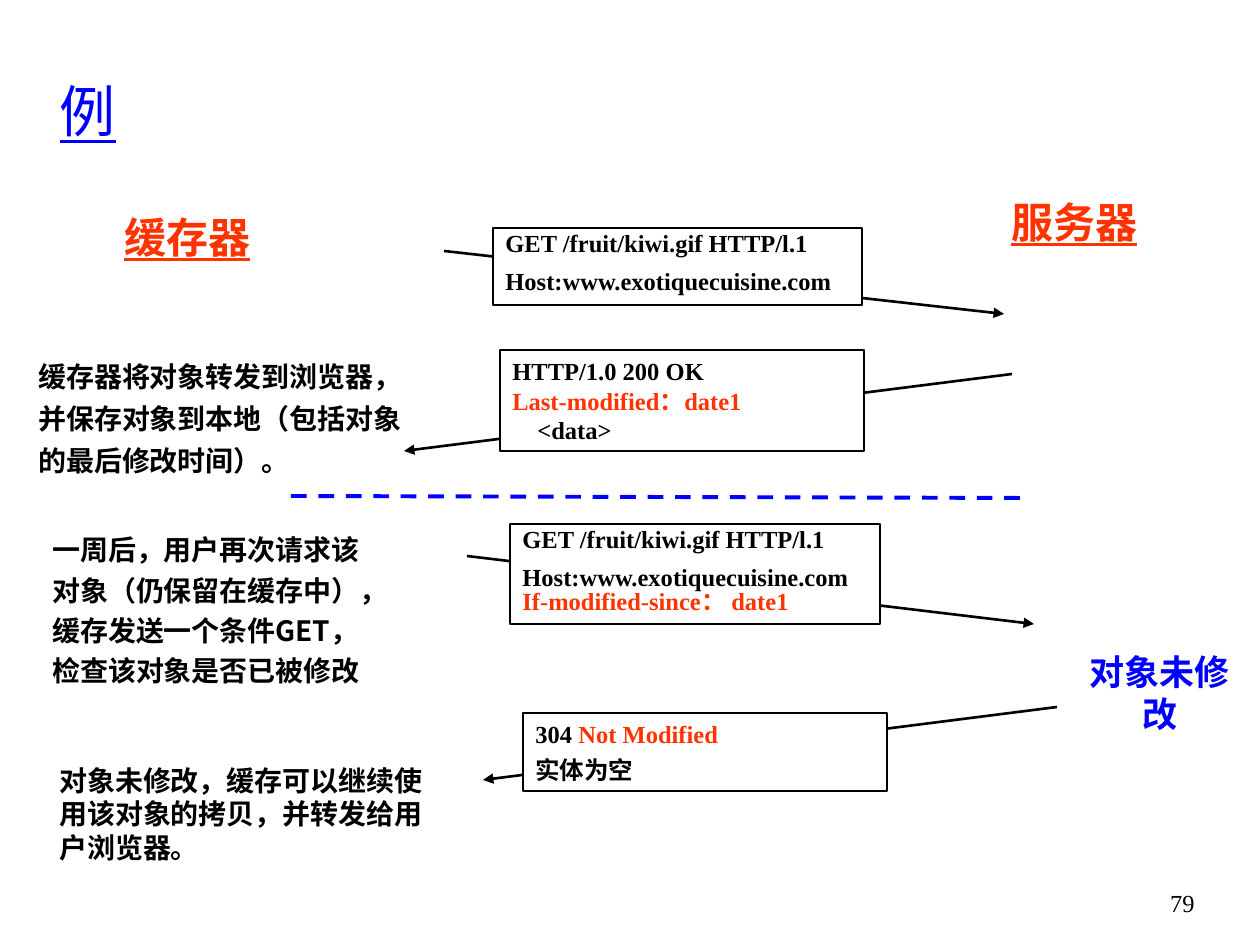
import pptx
import pptx.dml.color
import pptx.enum.dml
import pptx.enum.shapes
import pptx.enum.text
import pptx.oxml
import pptx.oxml.ns
import pptx.util

PX_PER_INCH = 126
BLACK = pptx.dml.color.RGBColor(0x00, 0x00, 0x00)
WHITE = pptx.dml.color.RGBColor(0xFF, 0xFF, 0xFF)
BLUE = pptx.dml.color.RGBColor(0x00, 0x00, 0xFF)
RED = pptx.dml.color.RGBColor(0xFF, 0x33, 0x00)
SERIF = "Times New Roman"
COMIC = "Comic Neue"
SANS = "Noto Sans CJK SC"
LEFT = pptx.enum.text.PP_ALIGN.LEFT
CENTER = pptx.enum.text.PP_ALIGN.CENTER
RIGHT = pptx.enum.text.PP_ALIGN.RIGHT
TOP = pptx.enum.text.MSO_ANCHOR.TOP
MIDDLE = pptx.enum.text.MSO_ANCHOR.MIDDLE


def px(length):
    return pptx.util.Emu(round(length * 914400 / PX_PER_INCH))


def add_span(para, text, *, size, font, color, bold, underline):
    span = para.add_run()
    span.text = text
    span.font.size = pptx.util.Pt(size)
    span.font.name = font
    span.font.color.rgb = color
    span.font.bold = bold
    span.font.underline = underline
    east_asian = pptx.oxml.parse_xml(
        f'<a:ea {pptx.oxml.ns.nsdecls("a")} typeface="{SANS}"/>')
    span.font._element.find(pptx.oxml.ns.qn("a:latin")).addnext(east_asian)


def write(frame, paragraphs, *, size=14, font=SERIF, color=BLACK, bold=True,
          underline=False, align=LEFT, anchor=TOP, wrap=True, spacing=1.0,
          gaps=(), indents=()):
    """Each paragraph is a string or a list of (text, colour) spans.

    gaps and indents map a paragraph index to points before it and px of margin.
    """
    frame.word_wrap = wrap
    frame.vertical_anchor = anchor
    frame.margin_left = frame.margin_right = pptx.util.Inches(0.1)
    frame.margin_top = frame.margin_bottom = pptx.util.Inches(0.05)
    gaps, indents = dict(gaps), dict(indents)
    for index, content in enumerate(paragraphs):
        para = frame.paragraphs[0] if index == 0 else frame.add_paragraph()
        para.alignment = align
        para.line_spacing = spacing
        para.space_before = pptx.util.Pt(gaps.get(index, 0))
        if index in indents:
            para._p.get_or_add_pPr().set("marL", str(px(indents[index])))
        spans = [(content, color)] if isinstance(content, str) else content
        for text, span_color in spans:
            add_span(para, text, size=size, font=font, color=span_color,
                     bold=bold, underline=underline)


class SlideBuilder:
    """Holds the current slide and draws its kinds of element."""

    def __init__(self, deck):
        self.slide = deck.slides.add_slide(deck.slide_layouts[5])
        self.shapes = self.slide.shapes

    def title(self, text, left, top, width, height):
        box = self.shapes.title
        box.left, box.top, box.width, box.height = map(px, (left, top, width, height))
        write(box.text_frame, [text], size=32, color=BLUE, bold=False,
              underline=True, anchor=MIDDLE)

    def label(self, text, left, top, width, height, **style):
        box = self.shapes.add_textbox(*map(px, (left, top, width, height)))
        write(box.text_frame, [text], **style)

    def message(self, paragraphs, left, top, width, height, **style):
        box = self.shapes.add_shape(pptx.enum.shapes.MSO_SHAPE.RECTANGLE,
                                    *map(px, (left, top, width, height)))
        box.shadow.inherit = False
        box.fill.solid()
        box.fill.fore_color.rgb = WHITE
        box.line.color.rgb = BLACK
        box.line.width = pptx.util.Pt(0.75)
        write(box.text_frame, paragraphs, **style)

    def line(self, start_x, start_y, end_x, end_y, color=BLACK, width=1.5):
        line = self.shapes.add_connector(
            pptx.enum.shapes.MSO_CONNECTOR.STRAIGHT,
            *map(px, (start_x, start_y, end_x, end_y)))
        line.line.color.rgb = color
        line.line.width = pptx.util.Pt(width)
        line._element.spPr.append(pptx.oxml.parse_xml(
            f'<a:effectLst {pptx.oxml.ns.nsdecls("a")}/>'))
        return line

    def arrow(self, *ends):
        self.line(*ends).line._get_or_add_ln().append(pptx.oxml.parse_xml(
            f'<a:tailEnd {pptx.oxml.ns.nsdecls("a")} type="triangle"/>'))

    def divider(self, *ends):
        line = self.line(*ends, color=BLUE, width=2.25)
        line.line.dash_style = pptx.enum.dml.MSO_LINE.DASH


def main():
    deck = pptx.Presentation()
    deck.slide_width, deck.slide_height = px(1260), px(945)
    page = SlideBuilder(deck)
    page.title("例", 47, 32, 1097, 157)

    for ends in ((444, 251, 1004, 314), (1012, 374, 404, 451),
                 (467, 556, 1034, 624), (1057, 707, 483, 780)):
        page.arrow(*ends)
    page.divider(291, 496, 1031, 498)

    heading = dict(size=24, font=COMIC, color=RED, underline=True, align=CENTER)
    page.label("缓存器", 112, 205, 151, 63, wrap=False, **heading)
    page.label("服务器", 987, 190, 175, 63, **heading)
    page.label("对象未修改", 1060, 644, 200, 55, size=20, font=COMIC, color=BLUE,
               align=CENTER, wrap=False)

    request = ["GET /fruit/kiwi.gif HTTP/l.1", "Host:www.exotiquecuisine.com"]
    request_style = dict(spacing=0.8, gaps={1: 8})
    page.message(request, 493, 228, 369, 77, **request_style)
    page.message(["HTTP/1.0 200 OK", [("Last-modified：date1", RED)], "<data>"],
                 500, 350, 364, 101, indents={2: 25})
    page.message(request + [[("If-modified-since： date1", RED)]],
                 510, 524, 370, 100, **request_style)
    page.message([[("304 ", BLACK), ("Not Modified", RED)], "实体为空"],
                 523, 713, 364, 78, gaps={1: 3.5})

    note = dict(size=16, font=SANS)
    page.label("缓存器将对象转发到浏览器，并保存对象到本地（包括对象的最后修改时间）。",
               26, 345, 410, 139, spacing=1.25, **note)
    page.label("一周后，用户再次请求该对象（仍保留在缓存中），缓存发送一个条件GET，检查该对象是否已被修改",
               40, 520, 355, 214, spacing=1.2, **note)
    page.label("对象未修改，缓存可以继续使用该对象的拷贝，并转发给用户浏览器。",
               47, 757, 393, 113, **note)
    page.label("79", 1144, 882, 63, 63, bold=False, align=RIGHT)

    deck.save("out.pptx")


if __name__ == "__main__":
    main()
